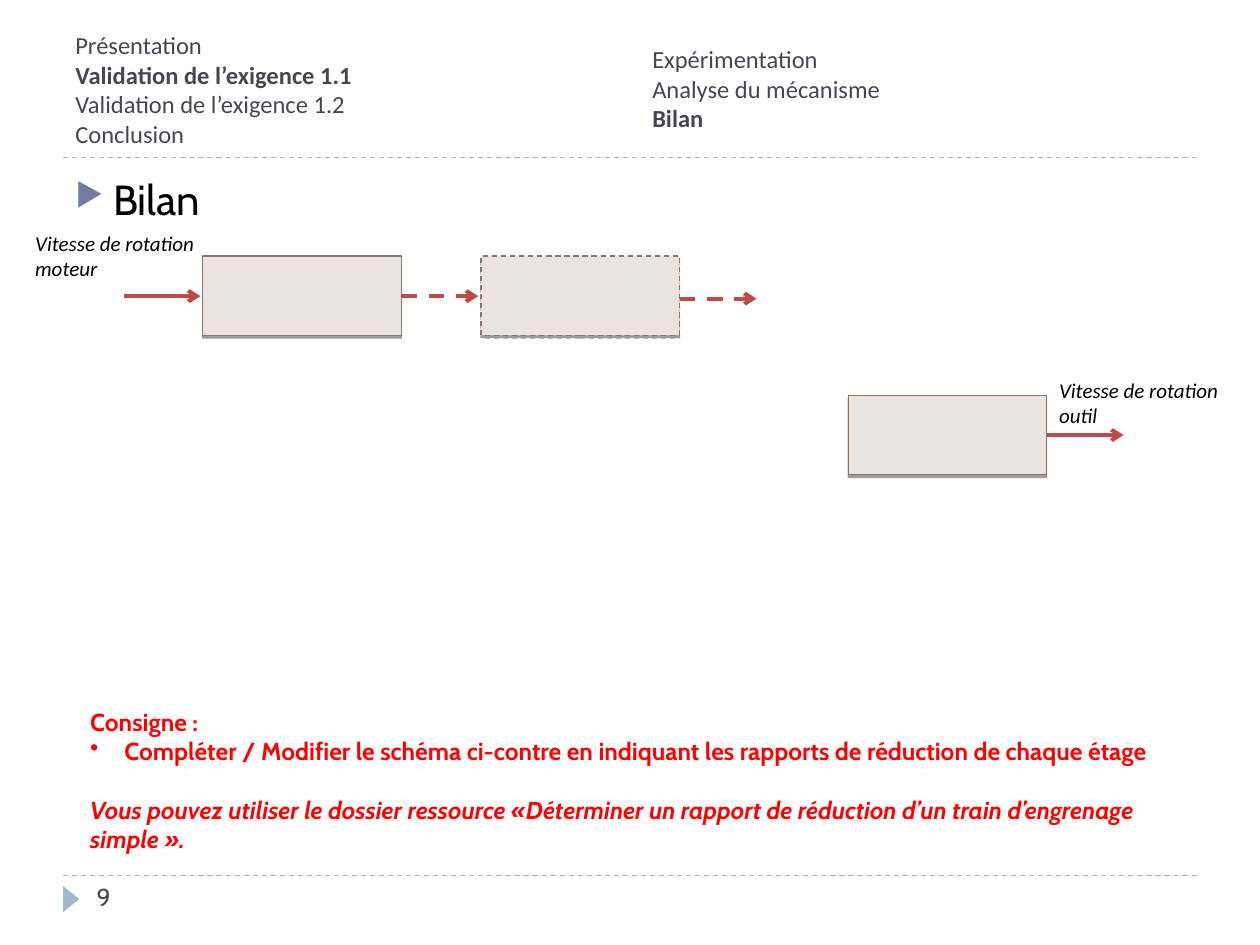
from lxml.etree import SubElement
from pptx import Presentation
from pptx.dml.color import RGBColor
from pptx.enum.dml import MSO_LINE
from pptx.enum.shapes import MSO_CONNECTOR, MSO_SHAPE
from pptx.enum.text import MSO_ANCHOR, MSO_AUTO_SIZE
from pptx.oxml.ns import qn
from pptx.util import Cm, Pt

THEME = {
    "ink": "464653", "black": "000000", "red": "FF0000", "marker": "727CA3",
    "rule": "9FB8CD", "stage": "E9E3E1", "edge": "8E736A", "arrow": "BE4B48",
    "heading": {"name": "Cabin", "size": Pt(24)},
    "task": {"name": "Cabin", "size": Pt(14), "bold": True},
    "number": {"name": "Cabin", "size": Pt(14)},
    "nav": {"name": "Calibri", "size": Pt(14)},
    "label": {"name": "Calibri", "size": Pt(12), "italic": True},
}

BOLD = {"bold": True}
MIDDLE = {"vertical_anchor": MSO_ANCHOR.MIDDLE}
GROW = {"auto_size": MSO_AUTO_SIZE.SHAPE_TO_FIT_TEXT}
HEADING_BULLET = {"char": "▶", "color": "marker", "size": 76, "indent": 0.76}
TASK_BULLET = {"char": "•", "color": "red", "size": 100, "indent": 0.69}

TEXTS = [
    ((1.27, 0.43, 11.23, 2.74), "nav", "ink", MIDDLE, [
        ("Présentation", {}),
        ("Validation de l’exigence 1.1", BOLD),
        ("Validation de l’exigence 1.2", {}),
        ("Conclusion", {}),
    ]),
    ((12.9, 0.41, 11.23, 2.74), "nav", "ink", MIDDLE, [
        ("Expérimentation", {}),
        ("Analyse du mécanisme", {}),
        ("Bilan", BOLD),
    ]),
    ((1.7, 17.65, 5.51, 1.02), "number", "ink", {}, [("9", {})]),
    ((1.27, 3.38, 22.86, 13.72), "heading", "black", {}, [
        ("Bilan", {"bullet": HEADING_BULLET}),
    ]),
    ((1.57, 14.12, 22.02, 3.81), "task", "red", GROW, [
        ("Consigne :", {}),
        ("Compléter / Modifier le schéma ci-contre en indiquant les rapports "
         "de réduction de chaque étage", {"bullet": TASK_BULLET}),
        ("Vous pouvez utiliser le dossier ressource «Déterminer un rapport de "
         "réduction d’un train d’engrenage simple\u00a0».",
         {"italic": True, "before": Pt(16.8)}),
    ]),
    ((0.46, 4.52, 4.04, 1.27), "label", "black", GROW,
     [("Vitesse de rotation moteur", {})]),
    ((21.1, 7.49, 4.04, 1.27), "label", "black", GROW,
     [("Vitesse de rotation outil", {})]),
]

STAGE_W, STAGE_H = 4, 1.6
ARROW_LENGTH = 1.55
MOTOR, MIDDLE_STAGE, TOOL = (4.09, 5.16), (9.7, 5.16), (17.1, 7.97)
STAGES = [(MOTOR, False), (MIDDLE_STAGE, True), (TOOL, False)]
ARROWS = [
    (MOTOR[0] - ARROW_LENGTH - 0.05, 5.97, False),
    (MOTOR[0] + STAGE_W, 5.97, True),
    (MIDDLE_STAGE[0] + STAGE_W, 6.02, True),
    (TOOL[0] + STAGE_W, 8.77, False),
]
RULE_LEFT, RULE_RIGHT = 1.27, 24.13
RULE_LEVELS = [17.65, 3.18]


def color(key):
    return RGBColor.from_string(THEME[key])


def apply(target, values):
    for key, value in values.items():
        setattr(target, key, value)


def style_line(line, key, width, dashed):
    line.color.rgb = color(key)
    line.width = Pt(width)
    if dashed:
        line.dash_style = MSO_LINE.DASH


def add_line(slide, left, right, level, key, width, dashed):
    connector = slide.shapes.add_connector(
        MSO_CONNECTOR.STRAIGHT, Cm(left), Cm(level), Cm(right), Cm(level))
    style_line(connector.line, key, width, dashed)
    SubElement(connector._element.spPr, qn("a:effectLst"))
    return connector


def add_arrow(slide, left, level, dashed):
    arrow = add_line(slide, left, left + ARROW_LENGTH, level, "arrow", 2.25, dashed)
    SubElement(arrow.line._get_or_add_ln(), qn("a:tailEnd"), type="arrow")


def add_stage(slide, corner, dashed):
    stage = slide.shapes.add_shape(
        MSO_SHAPE.RECTANGLE, *map(Cm, (*corner, STAGE_W, STAGE_H)))
    stage.fill.solid()
    stage.fill.fore_color.rgb = color("stage")
    style_line(stage.line, "edge", 0.75, dashed)
    effects = SubElement(stage._element.spPr, qn("a:effectLst"))
    shadow = SubElement(effects, qn("a:outerShdw"), blurRad="0",
                        dist=str(Pt(1.6)), dir="5400000", rotWithShape="0")
    tint = SubElement(shadow, qn("a:srgbClr"), val=THEME["black"])
    SubElement(tint, qn("a:alpha"), val="38000")


def add_page_marker(slide):
    marker = slide.shapes.add_shape(
        MSO_SHAPE.ISOSCELES_TRIANGLE, *map(Cm, (1.17, 17.96, 0.53, 0.33)))
    marker.rotation = 90
    marker.shadow.inherit = False
    marker.fill.solid()
    marker.fill.fore_color.rgb = color("rule")
    marker.line.fill.background()


def add_bullet(paragraph, bullet):
    properties = paragraph._p.get_or_add_pPr()
    indent = Cm(bullet["indent"])
    properties.set("marL", str(indent))
    properties.set("indent", str(-indent))
    tint = SubElement(properties, qn("a:buClr"))
    SubElement(tint, qn("a:srgbClr"), val=THEME[bullet["color"]])
    SubElement(properties, qn("a:buSzPct"), val=str(bullet["size"] * 1000))
    SubElement(properties, qn("a:buChar"), char=bullet["char"])


def add_text(slide, place, style, ink, frame_format, lines):
    frame = slide.shapes.add_textbox(*map(Cm, place)).text_frame
    apply(frame, {"word_wrap": True, **frame_format})
    for index, (words, extras) in enumerate(lines):
        paragraph = frame.add_paragraph() if index else frame.paragraphs[0]
        extras = dict(extras)
        bullet = extras.pop("bullet", None)
        before = extras.pop("before", None)
        if bullet:
            add_bullet(paragraph, bullet)
        if before:
            paragraph.space_before = before
        run = paragraph.add_run()
        run.text = words
        apply(run.font, {**THEME[style], **extras})
        run.font.color.rgb = color(ink)


def main():
    presentation = Presentation()
    apply(presentation, {"slide_width": Cm(25.4), "slide_height": Cm(19.05)})
    slide = presentation.slides.add_slide(presentation.slide_layouts[6])
    for level in RULE_LEVELS:
        add_line(slide, RULE_LEFT, RULE_RIGHT, level, "rule", 0.75, True)
    add_page_marker(slide)
    for stage in STAGES:
        add_stage(slide, *stage)
    for arrow in ARROWS:
        add_arrow(slide, *arrow)
    for text in TEXTS:
        add_text(slide, *text)
    presentation.save("out.pptx")


if __name__ == "__main__":
    main()
